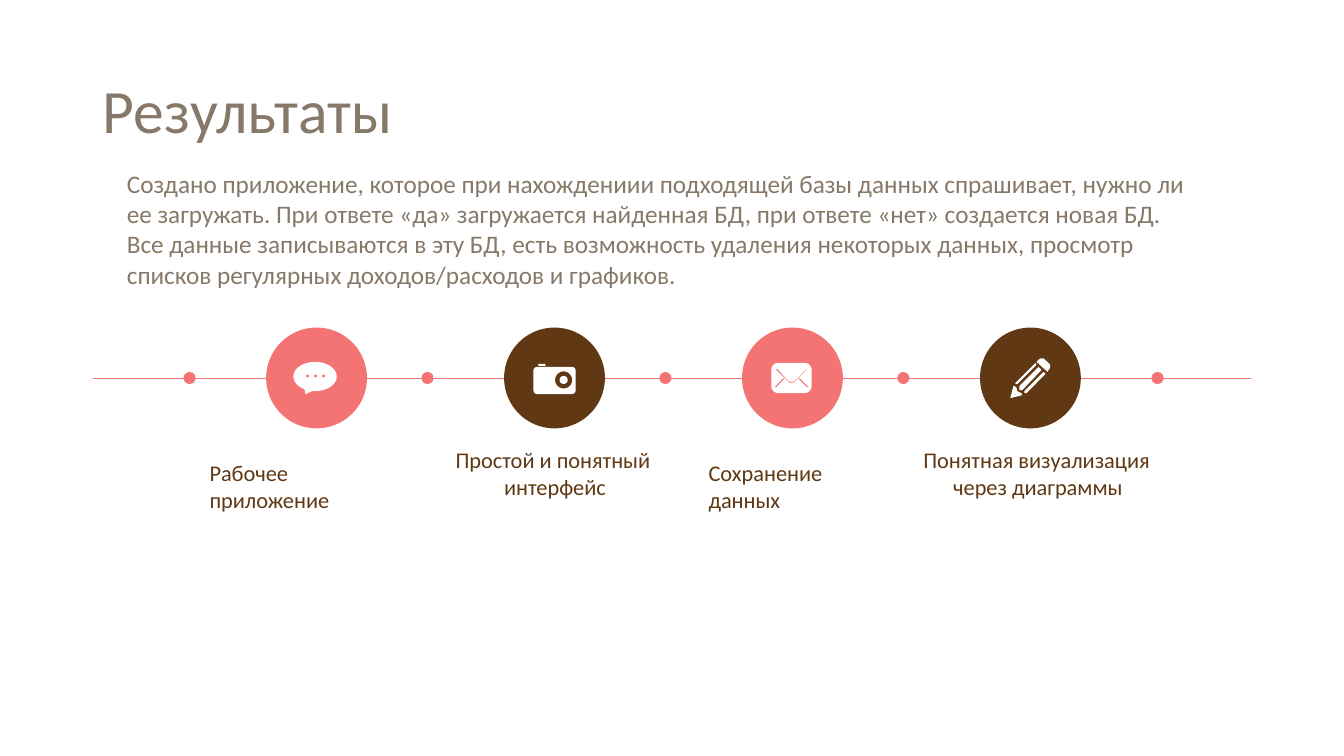
from dataclasses import dataclass
from math import cos, radians, sin

from lxml import etree
from pptx import Presentation
from pptx.dml.color import RGBColor
from pptx.enum.shapes import MSO_CONNECTOR, MSO_SHAPE
from pptx.enum.text import MSO_ANCHOR, MSO_AUTO_SIZE, PP_ALIGN
from pptx.oxml.ns import qn
from pptx.util import Inches, Pt

LEFT, CENTER = PP_ALIGN.LEFT, PP_ALIGN.CENTER
MIDDLE = MSO_ANCHOR.MIDDLE
NO_FIT, GROW = MSO_AUTO_SIZE.NONE, MSO_AUTO_SIZE.SHAPE_TO_FIT_TEXT
OVAL = MSO_SHAPE.OVAL
STRAIGHT = MSO_CONNECTOR.STRAIGHT


@dataclass(frozen=True)
class Theme:
    font: str = "Calibri"
    coral: str = "F47474"
    brown: str = "603813"
    taupe: str = "877969"
    white: str = "FFFFFF"
    title: int = 44
    body: int = 18
    label: int = 16


def arc(cx, cy, rx, ry, start=0, sweep=360):
    steps = max(6, round(sweep / 10))
    angles = [radians(start + sweep * i / steps) for i in range(steps + 1)]
    return [(cx + rx * cos(a), cy + ry * sin(a)) for a in angles]


def rounded(x, y, w, h, r):
    corners = [(x + w - r, y + h - r), (x + r, y + h - r),
               (x + r, y + r), (x + w - r, y + r)]
    return [pt for i, (cx, cy) in enumerate(corners)
            for pt in arc(cx, cy, r, r, 90 * i, 90)]


# Icon outlines are in hundredths of an inch from the circle's centre.
CHAT = [
    arc(-1.5, -1.5, 21.5, 14.5, 119, 338) + [(-11, 16)],
    *[arc(x, -2, 1.5, 1.5) for x in (-9, -1, 7)],
]
CAMERA = [
    rounded(-21, -11, 42, 27, 4),
    arc(9, 2, 8.5, 8.5),
    arc(9, 2, 4, 4),
    [(-16, -14), (-9, -14), (-9, -12), (-16, -12)],
]
MAIL = [
    rounded(-21, -15, 40, 30, 7),
    [(-17, -9), (-4, 4), (-1, 5), (2, 4), (15, -9),
     (14, -9), (2, 3), (-1, 4), (-4, 3), (-15, -9)],
    [(7, 0), (6, 1), (14, 9), (16, 9)],
    [(-9, 0), (-18, 9), (-16, 9), (-8, 1)],
]
PENCIL = [
    [(17, -6), (6, -16), (8, -18), (10, -19.5), (13, -19.5),
     (18, -15), (19.5, -13), (19.5, -10), (18, -8)],
    [(-6, 13), (-6, 15), (-4, 15), (15, -4), (13, -6)],
    [(-15, 5), (-15, 6), (-13, 6), (6, -13), (5, -15)],
    [(8, -11), (-11, 8), (-11, 12), (-8, 12), (11, -8)],
    [(-8, 17), (-9, 15), (-13, 13), (-14, 9), (-16, 8), (-17, 8), (-20, 20)],
]


class SlideBuilder:
    def __init__(self, prs, theme):
        self.theme = theme
        self.s = prs.slides.add_slide(prs.slide_layouts[5])

    def style(self, p, size, color, align=LEFT):
        p.alignment = align
        for r in p.runs:
            r.font.name = self.theme.font
            r.font.size = Pt(size)
            r.font.color.rgb = RGBColor.from_string(color)

    def fill(self, sp, color):
        sp.shadow.inherit = False
        sp.fill.solid()
        sp.fill.fore_color.rgb = RGBColor.from_string(color)
        sp.line.fill.background()

    def title(self, text, x, y, w, h):
        sp = self.s.shapes.title
        sp.left, sp.top, sp.width, sp.height = map(Inches, (x, y, w, h))
        tf = sp.text_frame
        tf.text = text
        tf.auto_size = NO_FIT
        tf.vertical_anchor = MIDDLE
        p = tf.paragraphs[0]
        p.line_spacing = 0.9
        self.style(p, self.theme.title, self.theme.taupe)

    def text(self, text, x, y, w, h, size, color):
        sp = self.s.shapes.add_textbox(*map(Inches, (x, y, w, h)))
        tf = sp.text_frame
        tf.text = text
        tf.word_wrap = True
        tf.auto_size = GROW
        for i, p in enumerate(tf.paragraphs):
            self.style(p, size, color, CENTER if i else LEFT)

    def circle(self, shapes, cx, cy, d, color):
        sp = shapes.add_shape(OVAL, Inches(cx - d / 2), Inches(cy - d / 2),
                              Inches(d), Inches(d))
        self.fill(sp, color)

    def line(self, shapes, x1, x2, y, color):
        sp = shapes.add_connector(STRAIGHT, Inches(x1), Inches(y),
                                  Inches(x2), Inches(y))
        sp.line.color.rgb = RGBColor.from_string(color)
        sp.line.width = Pt(0.5)
        etree.SubElement(sp._element.spPr, qn("a:effectLst"))

    def timeline(self, x1, x2, y, dots, color):
        shapes = self.s.shapes.add_group_shape().shapes
        self.line(shapes, x1, x2, y, color)
        for x in dots:
            self.circle(shapes, x, y, 0.12, color)

    def icon(self, outlines, cx, cy):
        contours = [[(Inches(cx + x / 100), Inches(cy + y / 100))
                     for x, y in outline] for outline in outlines]
        first, *others = contours
        fb = self.s.shapes.build_freeform(*first[0])
        fb.add_line_segments(first[1:], close=True)
        for contour in others:
            fb.move_to(*contour[0])
            fb.add_line_segments(contour[1:], close=True)
        self.fill(fb.convert_to_shape(), self.theme.white)


def main():
    prs = Presentation()
    prs.slide_width, prs.slide_height = Inches(13.33), Inches(7.5)
    t = Theme()
    b = SlideBuilder(prs, t)
    axis_y, pitch = 3.75, 2.36

    b.title("Результаты", 0.92, 0.4, 11.5, 1.45)
    dots = [1.88 + pitch * i for i in range(4)] + [11.48]
    b.timeline(0.92, 12.41, axis_y, dots, t.coral)

    results = [
        (CHAT, t.coral, "Рабочее приложение", (1.98, 4.51, 2.2, 0.37)),
        (CAMERA, t.brown, "Простой и понятный\nинтерфейс",
         (4.42, 4.38, 2.17, 0.64)),
        (MAIL, t.coral, "Сохранение данных", (6.93, 4.51, 2.07, 0.37)),
        (PENCIL, t.brown, "Понятная визуализация\nчерез диаграммы",
         (9.06, 4.38, 2.47, 0.64)),
    ]
    for i, (icon, color, label, box) in enumerate(results):
        cx = 3.14 + pitch * i
        b.circle(b.s.shapes, cx, axis_y, 1, color)
        b.icon(icon, cx, axis_y)
        b.text(label, *box, t.label, t.brown)

    b.text(
        "Создано приложение, которое при нахождениии подходящей базы данных "
        "спрашивает, нужно ли ее загружать. При ответе «да» загружается "
        "найденная БД, при ответе «нет» создается новая БД. Все данные "
        "записываются в эту БД, есть возможность удаления некоторых данных, "
        "просмотр списков регулярных доходов/расходов и графиков.",
        1.16, 1.62, 10.69, 1.31, t.body, t.taupe)
    prs.save("out.pptx")


if __name__ == "__main__":
    main()
